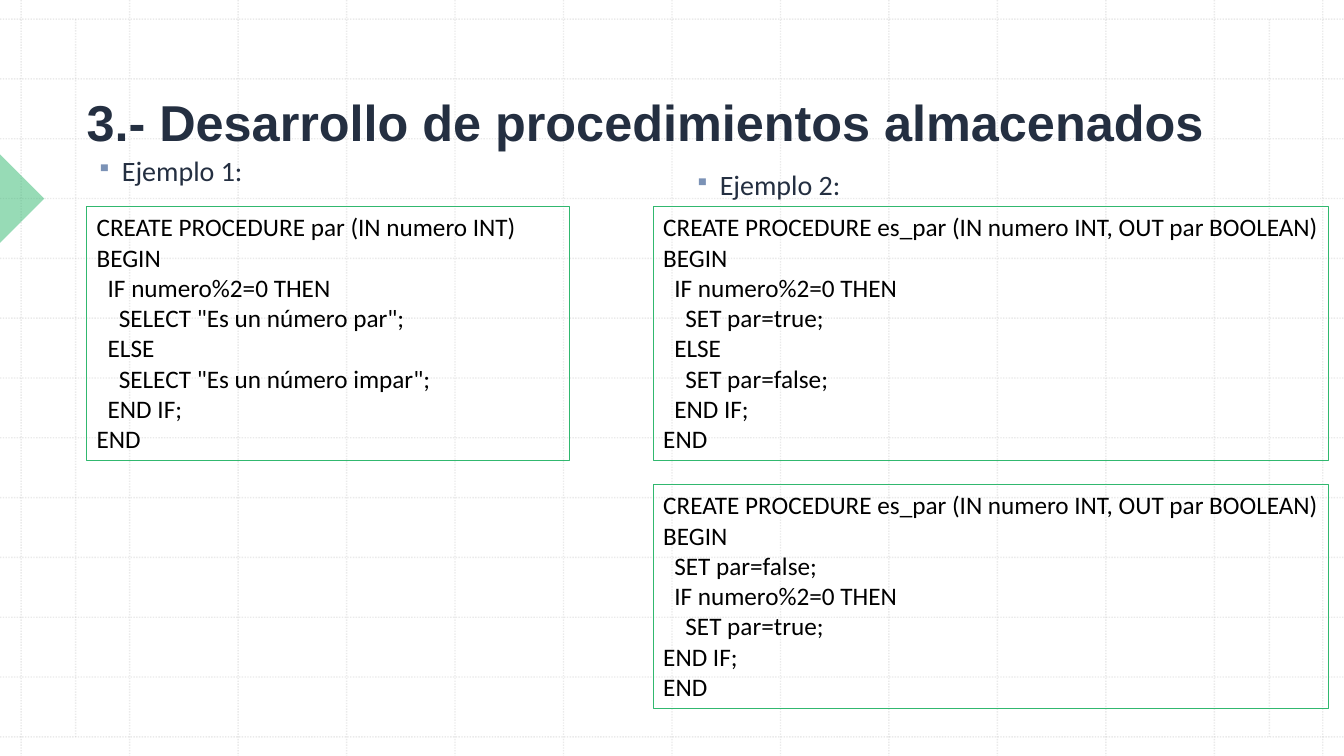
from dataclasses import dataclass

from lxml import etree
from pptx import Presentation
from pptx import util as u
from pptx.dml.color import RGBColor
from pptx.enum import dml, shapes, text
from pptx.oxml import ns

EMU_PER_PX = 9144  # 100 px to the inch
WIDTH, HEIGHT = 1333, 750
COLORS = {
    "grid": "BCBCBC",
    "green": "31B86F",
    "heading": "242F41",
    "bullet": "7B92B6",
    "code": "000000",
}
CODE_INDENT = 11
BULLET_INDENT = 25


@dataclass(frozen=True)
class Box:
    left: int
    top: int
    width: int
    height: int


@dataclass(frozen=True)
class CodeLine:
    level: int
    content: str


@dataclass(frozen=True)
class Listing:
    box: Box
    lines: tuple[CodeLine, ...]


@dataclass(frozen=True)
class Label:
    box: Box
    content: str


def px(length: float) -> u.Emu:
    return u.Emu(round(length * EMU_PER_PX))


def place(box: Box) -> list[u.Emu]:
    return [px(n) for n in (box.left, box.top, box.width, box.height)]


def color(name: str) -> RGBColor:
    return RGBColor.from_string(COLORS[name])


def set_opacity(shape, percent: int) -> None:
    for tint in shape._element.spPr.iter(ns.qn("a:srgbClr")):
        etree.SubElement(tint, ns.qn("a:alpha"), val=str(percent * 1000))


def add_grid_line(slide, x1: float, y1: float, x2: float, y2: float) -> None:
    line = slide.shapes.add_connector(
        shapes.MSO_CONNECTOR.STRAIGHT, px(x1), px(y1), px(x2), px(y2))
    line.line.color.rgb = color("grid")
    line.line.width = u.Pt(1)
    line.line.dash_style = dml.MSO_LINE.ROUND_DOT
    set_opacity(line, 30)
    etree.SubElement(line._element.spPr, ns.qn("a:effectLst"))


def add_grid(slide) -> None:
    for step in range(13):
        x = 21 + step * (1312 - 21) / 12
        y = 19 + step * (731 - 19) / 12
        add_grid_line(slide, x, 0, x, HEIGHT)
        add_grid_line(slide, 0, y, WIDTH, y)
    for x in (75, 1259):
        add_grid_line(slide, x, 19, x, 731)


def add_marker(slide, box: Box) -> None:
    marker = slide.shapes.add_shape(shapes.MSO_SHAPE.RIGHT_TRIANGLE, *place(box))
    marker.rotation = 225
    marker.shadow.inherit = False
    marker.fill.solid()
    marker.fill.fore_color.rgb = color("green")
    marker.line.fill.background()
    set_opacity(marker, 50)


def write(paragraph, content: str, *, size: int, tint: str,
          font: str = "Calibri", bold: bool = False, indent: int = 0) -> None:
    run = paragraph.add_run()
    run.text = content
    run.font.size = u.Pt(size)
    run.font.name = font
    run.font.bold = bold
    run.font.color.rgb = color(tint)
    paragraph.alignment = text.PP_ALIGN.LEFT
    if indent:
        paragraph._p.get_or_add_pPr().set("marL", str(px(indent)))


def add_bullet(paragraph) -> None:
    properties = paragraph._p.get_or_add_pPr()
    properties.set("indent", str(-px(BULLET_INDENT)))
    tint = etree.SubElement(properties, ns.qn("a:buClr"))
    etree.SubElement(tint, ns.qn("a:srgbClr"), val=COLORS["bullet"])
    etree.SubElement(properties, ns.qn("a:buSzPct"), val="75000")
    etree.SubElement(properties, ns.qn("a:buChar"), char="▪")


def add_title(slide, label: Label) -> None:
    frame = slide.shapes.add_textbox(*place(label.box)).text_frame
    frame.word_wrap = True
    frame.vertical_anchor = text.MSO_ANCHOR.BOTTOM
    write(frame.paragraphs[0], label.content, size=36, tint="heading",
          font="Arial", bold=True)


def add_label(slide, label: Label) -> None:
    frame = slide.shapes.add_textbox(*place(label.box)).text_frame
    frame.word_wrap = True
    paragraph = frame.paragraphs[0]
    write(paragraph, label.content, size=20, tint="heading", indent=BULLET_INDENT)
    paragraph.line_spacing = 1.1
    paragraph.space_before = u.Pt(10)
    add_bullet(paragraph)


def add_listing(slide, listing: Listing) -> None:
    shape = slide.shapes.add_shape(shapes.MSO_SHAPE.RECTANGLE, *place(listing.box))
    shape.shadow.inherit = False
    shape.fill.background()
    shape.line.color.rgb = color("green")
    shape.line.width = u.Pt(0.75)
    frame = shape.text_frame
    frame.word_wrap = True
    frame.vertical_anchor = text.MSO_ANCHOR.TOP
    for number, line in enumerate(listing.lines):
        paragraph = frame.add_paragraph() if number else frame.paragraphs[0]
        write(paragraph, line.content, size=18, tint="code",
              indent=line.level * CODE_INDENT)


BEGIN, END = CodeLine(0, "BEGIN"), CodeLine(0, "END")
IF_EVEN = CodeLine(1, "IF numero%2=0 THEN")
ELSE, END_IF = CodeLine(1, "ELSE"), CodeLine(1, "END IF;")
ES_PAR = CodeLine(0, "CREATE PROCEDURE es_par (IN numero INT, OUT par BOOLEAN)")
SET_TRUE = CodeLine(2, "SET par=true;")

TITLE = Label(Box(76, 79, 1129, 76), "3.- Desarrollo de procedimientos almacenados")
LABELS = (
    Label(Box(86, 144, 195, 61), "Ejemplo 1:"),
    Label(Box(679, 158, 195, 61), "Ejemplo 2:"),
)
LISTINGS = (
    Listing(Box(86, 205, 479, 252), (
        CodeLine(0, "CREATE PROCEDURE par (IN numero INT)"), BEGIN, IF_EVEN,
        CodeLine(2, 'SELECT "Es un número par";'), ELSE,
        CodeLine(2, 'SELECT "Es un número impar";'), END_IF, END)),
    Listing(Box(648, 205, 670, 252), (
        ES_PAR, BEGIN, IF_EVEN, SET_TRUE, ELSE,
        CodeLine(2, "SET par=false;"), END_IF, END)),
    Listing(Box(648, 481, 670, 222), (
        ES_PAR, BEGIN, CodeLine(1, "SET par=false;"), IF_EVEN, SET_TRUE,
        CodeLine(0, "END IF;"), END)),
)


def main() -> None:
    presentation = Presentation()
    presentation.slide_width, presentation.slide_height = px(WIDTH), px(HEIGHT)
    slide = presentation.slides.add_slide(presentation.slide_layouts[6])

    # Background grid and side marker
    add_grid(slide)
    add_marker(slide, Box(-31, 166, 62, 62))

    # Title, example labels and code
    add_title(slide, TITLE)
    for label in LABELS:
        add_label(slide, label)
    for listing in LISTINGS:
        add_listing(slide, listing)

    presentation.save("out.pptx")


if __name__ == "__main__":
    main()
